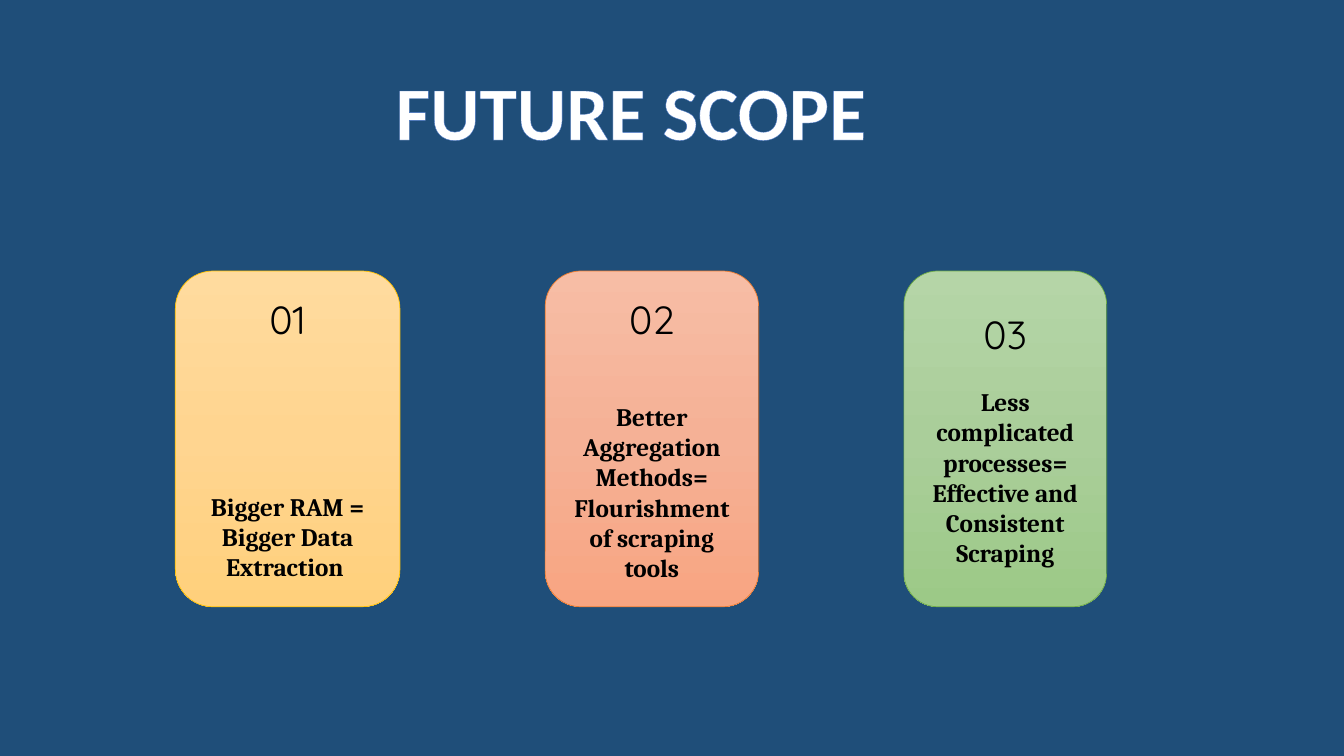
from copy import deepcopy

from lxml import etree
from pptx import Presentation
from pptx import util as u
from pptx.dml.color import RGBColor
from pptx.enum import shapes, text
from pptx.oxml.ns import qn


def color(hex_code):
    return RGBColor.from_string(hex_code)


class ScopeSlide:
    """Holds the style and the current slide."""

    background = "1F4E79"
    title_font, number_font, body_font = "Calibri", "Quicksand", "Cambria"
    title_outline = "4472C4"
    card_top, card_height = 6.83, 8.46

    def __init__(self, deck):
        self.slide = deck.slides.add_slide(deck.slide_layouts[6])
        fill = self.slide.background.fill
        fill.solid()
        fill.fore_color.rgb = color(self.background)

    def set_text(self, paragraph, words, font, size, ink, bold=False):
        paragraph.text = words
        paragraph.alignment = text.PP_ALIGN.CENTER
        paragraph.font.name = font
        paragraph.font.size = u.Pt(size)
        paragraph.font.bold = bold
        paragraph.font.color.rgb = color(ink)

    def title(self, words, left, top, width, height):
        box = self.slide.shapes.add_textbox(*map(u.Cm, (left, top, width, height)))
        frame = box.text_frame
        frame.word_wrap = False
        frame.auto_size = text.MSO_AUTO_SIZE.SHAPE_TO_FIT_TEXT
        heading = frame.paragraphs[0]
        self.set_text(heading, words, self.title_font, 54, "FFFFFF", bold=True)
        # Thin outline around the letters
        style = heading._p.pPr.find(qn("a:defRPr"))
        outline = etree.Element(qn("a:ln"), w=str(u.Pt(0.8)))
        solid = etree.SubElement(outline, qn("a:solidFill"))
        etree.SubElement(solid, qn("a:srgbClr"), val=self.title_outline)
        style.insert(0, outline)

    def gradient(self, card, shades):
        card.fill.gradient()
        card.fill.gradient_angle = 270
        stop_list = card.element.spPr.find(qn("a:gradFill")).find(qn("a:gsLst"))
        stop_list.insert(1, deepcopy(stop_list[0]))
        for index, (stop, shade) in enumerate(zip(card.fill.gradient_stops, shades)):
            stop.position = index / 2
            stop.color.rgb = color(shade)

    def card(self, left, width, number, words, gap, shades, border):
        card = self.slide.shapes.add_shape(
            shapes.MSO_SHAPE.ROUNDED_RECTANGLE,
            *map(u.Cm, (left, self.card_top, width, self.card_height)))
        card.shadow.inherit = False
        self.gradient(card, shades)
        card.line.color.rgb = color(border)
        card.line.width = u.Pt(0.5)
        frame = card.text_frame
        frame.word_wrap = True
        frame.vertical_anchor = text.MSO_ANCHOR.MIDDLE
        heading = frame.paragraphs[0]
        self.set_text(heading, number, self.number_font, 28, "000000")
        heading.space_after = u.Pt(gap)
        self.set_text(frame.add_paragraph(), words, self.body_font, 18, "000000", bold=True)


# Left, width, number, statement, gap below the number, shades, border
CARDS = [
    (4.42, 5.66, "01", "Bigger RAM = Bigger Data Extraction ", 106,
     ("FFDB9E", "FFD590", "FFD07C"), "FFC000"),
    (13.74, 5.38, "02", "Better Aggregation Methods= Flourishment of scraping tools", 42,
     ("F7BDA5", "F5B196", "F8A582"), "ED7D31"),
    (22.78, 5.11, "03", "Less complicated processes= Effective and Consistent Scraping", 21,
     ("B5D5A7", "AACE9A", "9CC987"), "70AD47"),
]


def main():
    deck = Presentation()
    deck.slide_width, deck.slide_height = u.Cm(33.87), u.Cm(19.05)
    scope = ScopeSlide(deck)
    scope.title("FUTURE SCOPE", 9.65, 1.5, 12.5, 2.57)
    for card in CARDS:
        scope.card(*card)
    deck.save("out.pptx")


if __name__ == "__main__":
    main()
